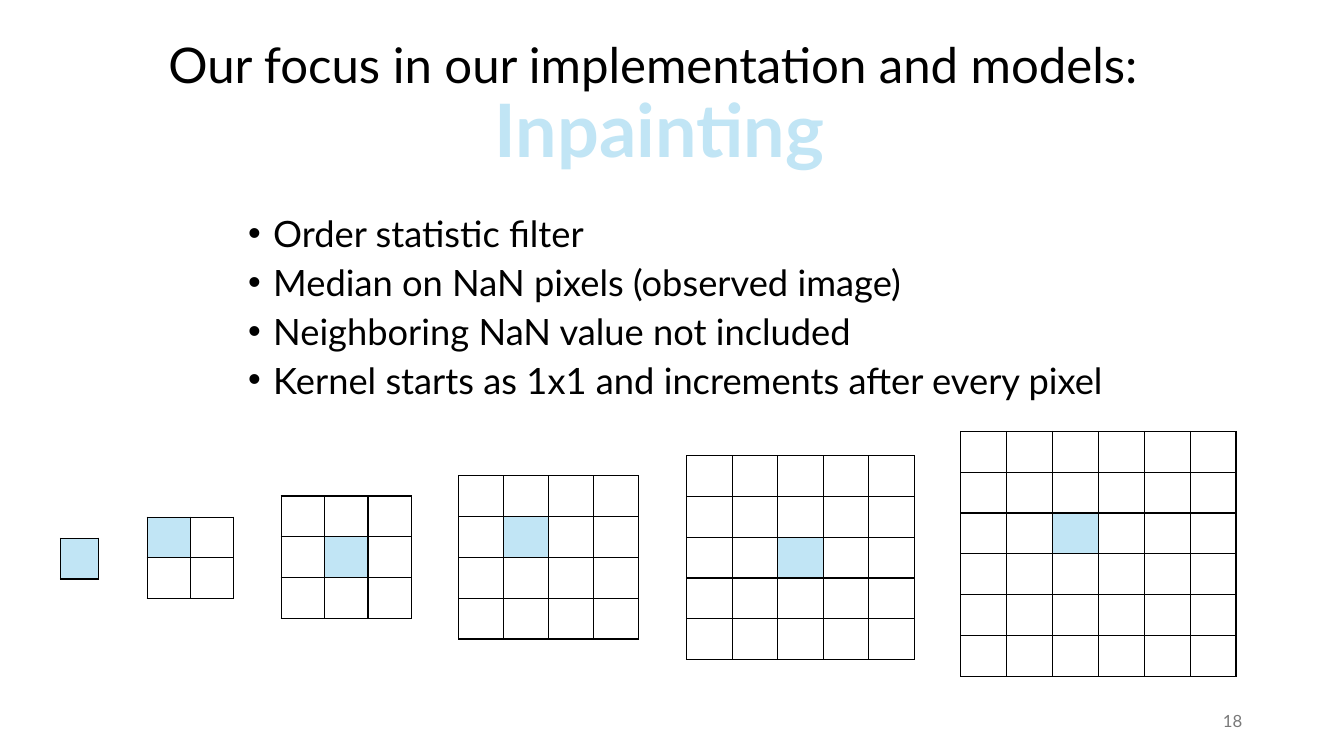
"""Build the slide on inpainting with a kernel that grows step by step."""
from dataclasses import dataclass

from lxml import etree
from pptx import Presentation
from pptx.dml.color import RGBColor
from pptx.enum.text import MSO_ANCHOR, MSO_AUTO_SIZE, PP_ALIGN
from pptx.oxml.ns import qn
from pptx.util import Inches, Pt

MIDDLE, TOP = MSO_ANCHOR.MIDDLE, MSO_ANCHOR.TOP
FIXED = MSO_AUTO_SIZE.NONE
CENTER, LEFT, RIGHT = PP_ALIGN.CENTER, PP_ALIGN.LEFT, PP_ALIGN.RIGHT
FONT = "Lato"
COLORS = {"ink": "000000", "paper": "FFFFFF", "mark": "C1E5F5", "gray": "797979"}
ROW = 0.405
POINTS = (
    "Order statistic filter",
    "Median on NaN\u00a0pixels (observed image)",
    "Neighboring NaN value not included",
    "Kernel starts as 1x1 and increments after every pixel",
)


@dataclass
class Kernel:
    """A square grid of cells with its center marked."""
    size: int
    left: float
    top: float
    width: float


KERNELS = (
    Kernel(1, 0.6, 5.34, 0.38),
    Kernel(2, 1.46, 5.13, 0.86),
    Kernel(3, 2.79, 4.92, 1.29),
    Kernel(4, 4.55, 4.72, 1.78),
    Kernel(5, 6.81, 4.52, 2.26),
    Kernel(6, 9.53, 4.28, 2.73),
)


def write(para, text: str, size: float, color: str = "ink", bold: bool = False) -> None:
    """Add a run of text in the given format."""
    run = para.add_run()
    run.text = text
    font = run.font
    font.name, font.size, font.bold = FONT, Pt(size), bold
    font.color.rgb = RGBColor.from_string(COLORS[color])


def place(shape, left: float, top: float, width: float, height: float, anchor):
    """Move a text shape, set up its frame and return the frame."""
    shape.left, shape.top = Inches(left), Inches(top)
    shape.width, shape.height = Inches(width), Inches(height)
    frame = shape.text_frame
    frame.word_wrap, frame.auto_size = True, FIXED
    frame.vertical_anchor = anchor
    return frame


def border(cell) -> None:
    """Draw a thin line on all four sides of a cell."""
    props = cell._tc.get_or_add_tcPr()
    for side in ("lnL", "lnR", "lnT", "lnB"):
        line = etree.SubElement(props, qn(f"a:{side}"), w=str(Pt(1)))
        fill = etree.SubElement(line, qn("a:solidFill"))
        etree.SubElement(fill, qn("a:srgbClr"), val=COLORS["ink"])


def draw(slide, kernel: Kernel) -> None:
    """Draw one kernel as a table."""
    size = kernel.size
    table = slide.shapes.add_table(
        size, size, Inches(kernel.left), Inches(kernel.top),
        Inches(kernel.width), Inches(ROW * size)).table
    table.first_row = table.horz_banding = False
    mid = (size - 1) // 2
    for row in range(size):
        for col in range(size):
            cell = table.cell(row, col)
            border(cell)
            color = "mark" if row == col == mid else "paper"
            cell.fill.solid()
            cell.fill.fore_color.rgb = RGBColor.from_string(COLORS[color])
            cell.text_frame.paragraphs[0].font.size = Pt(12)


def main() -> None:
    """Build and save the slide."""
    deck = Presentation()
    deck.slide_width, deck.slide_height = Inches(13.33), Inches(7.5)
    slide = deck.slides.add_slide(deck.slide_layouts[1])

    title = place(slide.shapes.title, 0.79, 0.34, 11.5, 1.45, MIDDLE).paragraphs[0]
    title.alignment, title.line_spacing = CENTER, 0.9
    write(title, "Our focus in our implementation and models: ", size=35.1)
    title.add_line_break()
    write(title, "Inpainting", size=52.6, color="mark", bold=True)

    body = place(slide.placeholders[1], 2.36, 2.13, 9.06, 1.93, TOP)
    for index, point in enumerate(POINTS):
        para = body.add_paragraph() if index else body.paragraphs[0]
        props = para._p.get_or_add_pPr()
        props.set("marL", str(Inches(0.25)))
        props.set("indent", str(Inches(-0.25)))
        para.alignment, para.line_spacing = LEFT, 0.8
        para.space_before = Pt(10 if index else 0)
        etree.SubElement(props, qn("a:buChar"), char="•")
        write(para, point, size=25.9)

    for kernel in KERNELS:
        draw(slide, kernel)

    box = slide.shapes.add_textbox(0, 0, 0, 0)
    number = place(box, 9.42, 6.95, 3, 0.4, MIDDLE).paragraphs[0]
    number.alignment = RIGHT
    write(number, "18", size=12, color="gray")
    deck.save("out.pptx")


if __name__ == "__main__":
    main()
